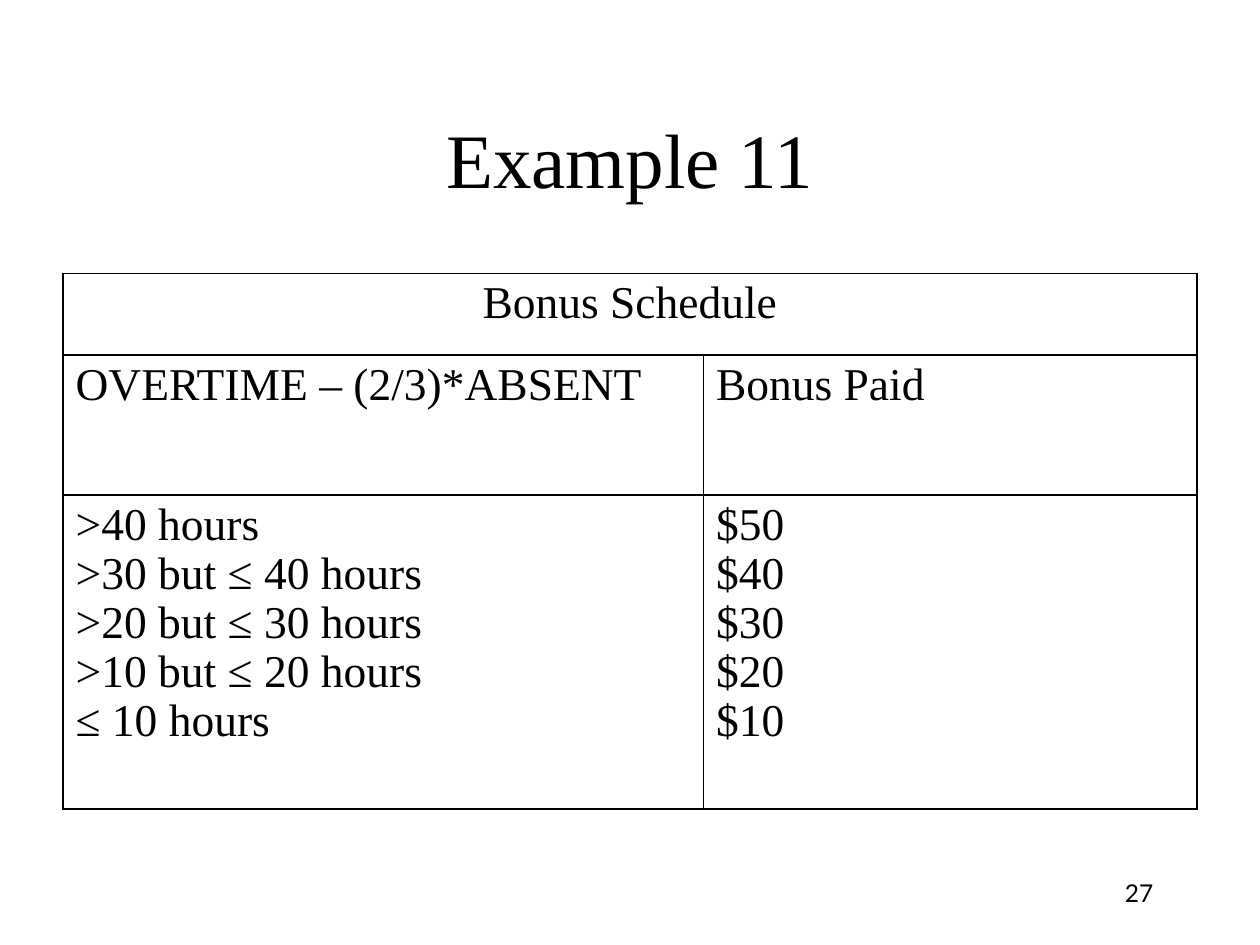
from dataclasses import dataclass

from lxml import etree
from pptx import Presentation
from pptx.dml.color import RGBColor
from pptx.enum import text
from pptx.oxml.ns import qn
from pptx.util import Cm, Pt


@dataclass(frozen=True)
class Theme:
    ink: str = "000000"
    paper: str = "FFFFFF"
    serif: str = "Times New Roman"
    sans: str = "Lato"
    title_size: float = 44
    table_size: float = 26
    number_size: float = 14
    border: float = 1
    table_spacing: float = 0.97
    hanging: float = 0.95


@dataclass(frozen=True)
class Label:
    words: str
    left: float
    top: float
    width: float
    height: float
    size: float
    font: str
    align: text.PP_ALIGN
    anchor: text.MSO_ANCHOR


@dataclass(frozen=True)
class Bonus:
    hours: str
    paid: str


THEME = Theme()
LABELS = [
    Label("Example 11", 1.27, 1.27, 22.86, 3.81, THEME.title_size, THEME.serif,
          text.PP_ALIGN.CENTER, text.MSO_ANCHOR.MIDDLE),
    Label("27", 18.21, 17.57, 5.29, 1.06, THEME.number_size, THEME.sans,
          text.PP_ALIGN.RIGHT, text.MSO_ANCHOR.TOP),
]
BONUSES = [
    Bonus(">40 hours", "$50"),
    Bonus(">30 but ≤ 40 hours", "$40"),
    Bonus(">20 but ≤ 30 hours", "$30"),
    Bonus(">10 but ≤ 20 hours", "$20"),
    Bonus("≤ 10 hours", "$10"),
]
COLUMN_WIDTHS = [12.91, 9.95]
ROW_HEIGHTS = [1.65, 2.82, 6.33]


def set_all(target, values: dict) -> None:
    for name, value in values.items():
        setattr(target, name, value)


def add_span(para, words: str, size: float, font: str) -> None:
    span = para.add_run()
    span.text = words
    set_all(span.font, {"size": Pt(size), "name": font})
    span.font.color.rgb = RGBColor.from_string(THEME.ink)


def add_label(page, label: Label) -> None:
    box = page.shapes.add_textbox(
        Cm(label.left), Cm(label.top), Cm(label.width), Cm(label.height))
    set_all(box.text_frame, {"word_wrap": True, "vertical_anchor": label.anchor})
    para = box.text_frame.paragraphs[0]
    para.alignment = label.align
    add_span(para, label.words, label.size, label.font)


def add_borders(cell) -> None:
    """Put the four border lines ahead of the cell's fill, as the schema asks."""
    properties = cell._tc.get_or_add_tcPr()
    for position, side in enumerate(("lnL", "lnR", "lnT", "lnB")):
        line = etree.Element(qn(f"a:{side}"), w=str(Pt(THEME.border)))
        fill = etree.SubElement(line, qn("a:solidFill"))
        etree.SubElement(fill, qn("a:srgbClr"), val=THEME.ink)
        properties.insert(position, line)


def fill_cell(cell, lines: list[str], align: text.PP_ALIGN) -> None:
    frame = cell.text_frame
    for index, words in enumerate(lines):
        para = frame.add_paragraph() if index else frame.paragraphs[0]
        set_all(para, {"alignment": align, "line_spacing": THEME.table_spacing})
        indents = para._p.get_or_add_pPr()
        indents.set("marL", str(Cm(THEME.hanging)))
        indents.set("indent", str(-Cm(THEME.hanging)))
        add_span(para, words, THEME.table_size, THEME.serif)


def add_bonus_table(page) -> None:
    table = page.shapes.add_table(
        len(ROW_HEIGHTS), len(COLUMN_WIDTHS), Cm(1.27), Cm(5.51),
        Cm(sum(COLUMN_WIDTHS)), Cm(sum(ROW_HEIGHTS))).table
    set_all(table, {"first_row": False, "horz_banding": False})
    for column, width in zip(table.columns, COLUMN_WIDTHS):
        column.width = Cm(width)
    for row, height in zip(table.rows, ROW_HEIGHTS):
        row.height = Cm(height)

    for cell in table.iter_cells():
        cell.fill.solid()
        cell.fill.fore_color.rgb = RGBColor.from_string(THEME.paper)
        add_borders(cell)

    table.cell(0, 0).merge(table.cell(0, 1))
    fill_cell(table.cell(0, 0), ["Bonus Schedule"], text.PP_ALIGN.CENTER)
    body = [
        [["OVERTIME – (2/3)*ABSENT"], ["Bonus Paid"]],
        [[bonus.hours for bonus in BONUSES], [bonus.paid for bonus in BONUSES]],
    ]
    for row, contents in enumerate(body, start=1):
        for column, lines in enumerate(contents):
            fill_cell(table.cell(row, column), lines, text.PP_ALIGN.LEFT)


def main() -> None:
    deck = Presentation()
    set_all(deck, {"slide_width": Cm(25.4), "slide_height": Cm(19.05)})
    page = deck.slides.add_slide(deck.slide_layouts[6])
    title, number = LABELS
    add_label(page, title)
    add_bonus_table(page)
    add_label(page, number)
    deck.save("out.pptx")


if __name__ == "__main__":
    main()
